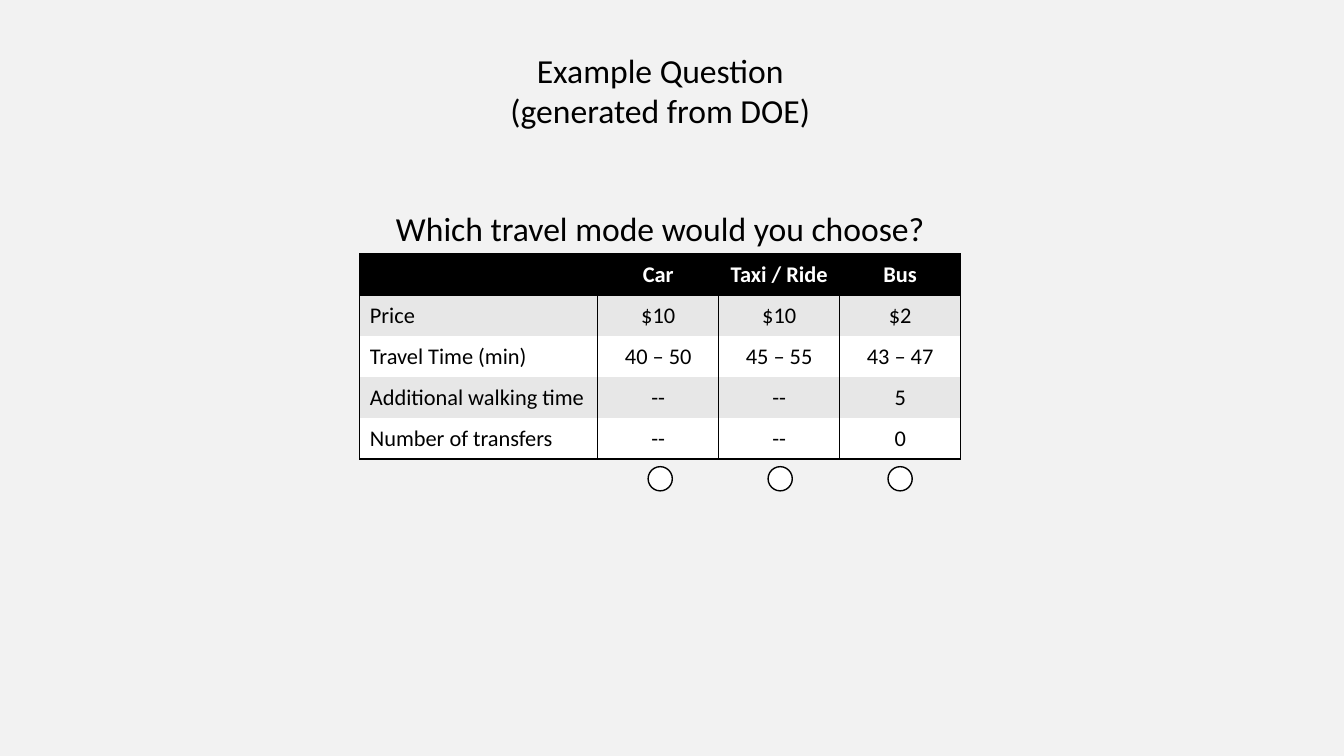
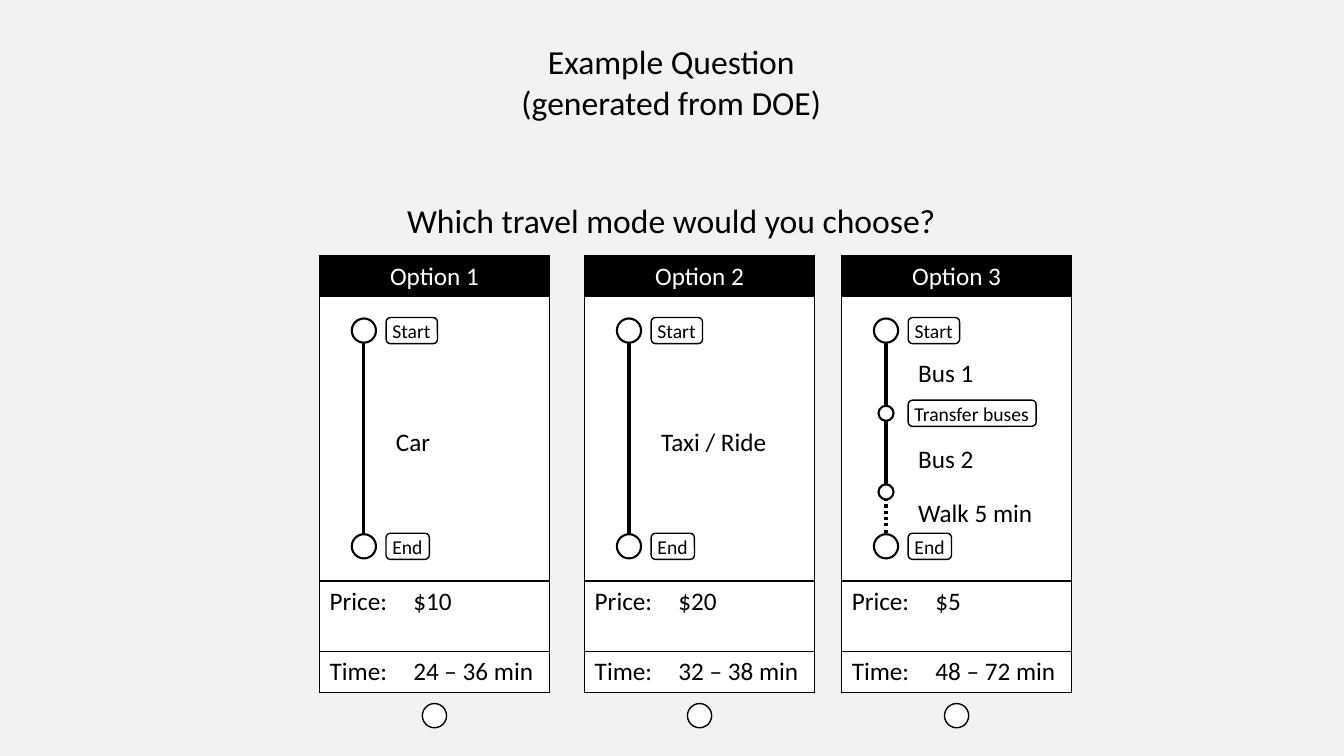
from dataclasses import dataclass

from lxml import etree
from pptx import Presentation
from pptx.dml.color import RGBColor
from pptx.enum.dml import MSO_LINE
from pptx.enum.shapes import MSO_CONNECTOR, MSO_SHAPE
from pptx.enum.text import MSO_ANCHOR, MSO_AUTO_SIZE, PP_ALIGN
from pptx.oxml.ns import qn
from pptx.util import Inches, Pt

LEFT, CENTER = PP_ALIGN.LEFT, PP_ALIGN.CENTER
TOP, MIDDLE = MSO_ANCHOR.TOP, MSO_ANCHOR.MIDDLE
OVAL, ROUNDED = MSO_SHAPE.OVAL, MSO_SHAPE.ROUNDED_RECTANGLE
STRAIGHT, DOTTED = MSO_CONNECTOR.STRAIGHT, MSO_LINE.ROUND_DOT
NO_AUTOFIT = MSO_AUTO_SIZE.NONE
TITLE_ONLY = 5
PLAIN_TABLE = "{2D5ABB26-0587-4C30-8999-92F81FD0307C}"


@dataclass(frozen=True)
class Theme:
    """Colours, font and type sizes of the deck."""
    font: str = "Calibri"
    page: str = "F2F2F2"
    ink: str = "000000"
    paper: str = "FFFFFF"
    band: str = "E7E7E7"
    heading: int = 24
    body: int = 18
    grid: int = 16
    tag: int = 14
    thin: float = 1
    ring: float = 1.5
    route: float = 2.25


def rgb(code):
    """Turn a hex code into a colour."""
    return RGBColor.from_string(code)


def u(n):
    """Length of n grid columns or rows; the grid has ten to the inch."""
    return Inches(n / 10)


class Deck:
    """Holds the theme, the presentation and the current slide."""

    def __init__(self, theme):
        """Set the slide size and the shared background."""
        self.t = theme
        self.prs = Presentation()
        self.prs.slide_width, self.prs.slide_height = u(133.33), u(75)
        fill = self.prs.slide_master.background.fill
        fill.solid()
        fill.fore_color.rgb = rgb(theme.page)

    def set_text(self, tf, lines, size, align=LEFT, color=None, bold=False):
        """Fill a text frame with equally styled paragraphs."""
        tf.text = "\n".join(lines)
        for p in tf.paragraphs:
            p.alignment = align
            p.font.name, p.font.size, p.font.bold = self.t.font, Pt(size), bold
            p.font.color.rgb = rgb(color or self.t.ink)

    def text(self, x, y, w, h, line, size, align=LEFT):
        """Add a one-line text box."""
        tf = self.s.shapes.add_textbox(u(x), u(y), u(w), u(h)).text_frame
        tf.word_wrap = False
        self.set_text(tf, [line], size, align)

    def question(self, center, top):
        """Start a slide with its title and the question below."""
        self.s = self.prs.slides.add_slide(self.prs.slide_layouts[TITLE_ONLY])
        title = self.s.shapes.title
        title.left, title.top = u(center - 16), u(top)
        title.width, title.height = u(32), u(9.1)
        tf = title.text_frame
        tf.auto_size, tf.vertical_anchor = NO_AUTOFIT, TOP
        self.set_text(tf, ["Example Question", "(generated from DOE)"],
                      self.t.heading, CENTER)
        self.text(center - 28.35, top + 15.7, 56.7, 5,
                  "Which travel mode would you choose?", self.t.heading, CENTER)

    def shape(self, kind, x, y, w, h, weight):
        """Add a white preset shape with a black outline."""
        sp = self.s.shapes.add_shape(kind, u(x), u(y), u(w), u(h))
        sp.shadow.inherit = False
        sp.fill.solid()
        sp.fill.fore_color.rgb = rgb(self.t.paper)
        sp.line.color.rgb, sp.line.width = rgb(self.t.ink), Pt(weight)
        return sp

    def circle(self, cx, cy, size, weight):
        """Add a circle around a centre."""
        self.shape(OVAL, cx - size / 2, cy - size / 2, size, size, weight)

    def tag(self, x, cy, w, label):
        """Add a rounded stop label, centred on a row."""
        tf = self.shape(ROUNDED, x, cy - 1.3, w, 2.6, self.t.thin).text_frame
        tf.margin_left = tf.margin_right = u(0.5)
        tf.margin_top = tf.margin_bottom = 0
        tf.word_wrap, tf.vertical_anchor = False, MIDDLE
        self.set_text(tf, [label], self.t.tag)

    def line(self, x, y1, y2, dash=None):
        """Add a vertical route line."""
        c = self.s.shapes.add_connector(STRAIGHT, u(x), u(y1), u(x), u(y2))
        c.line.color.rgb, c.line.width = rgb(self.t.ink), Pt(self.t.route)
        if dash:
            c.line.dash_style = dash
        etree.SubElement(c._element.spPr, qn("a:effectLst"))

    def table(self, x, y, cols, rows):
        """Add an unstyled table with given column widths and row heights."""
        frame = self.s.shapes.add_table(len(rows), len(cols), u(x), u(y),
                                        u(sum(cols)), u(sum(rows)))
        tbl = frame.table
        tbl._tbl.tblPr.find(qn("a:tableStyleId")).text = PLAIN_TABLE
        tbl.first_row = tbl.horz_banding = False
        for col, w in zip(tbl.columns, cols):
            col.width = u(w)
        for row, h in zip(tbl.rows, rows):
            row.height = u(h)
        return tbl

    def cell(self, cell, label, size, fill, borders, align=LEFT, anchor=MIDDLE,
             color=None, bold=False):
        """Fill in a cell; borders maps the sides L, R, T, B to widths."""
        tcPr = cell._tc.get_or_add_tcPr()
        for side in "LRTB":
            ln = etree.SubElement(tcPr, qn(f"a:ln{side}"))
            if side in borders:
                ln.set("w", str(Pt(borders[side])))
                solid = etree.SubElement(ln, qn("a:solidFill"))
                etree.SubElement(solid, qn("a:srgbClr")).set("val", self.t.ink)
            else:
                etree.SubElement(ln, qn("a:noFill"))
        cell.fill.solid()
        cell.fill.fore_color.rgb = rgb(fill)
        cell.vertical_anchor = anchor
        self.set_text(cell.text_frame, [label], size, align, color, bold)


def mode_table(d, x, y, rows):
    """Draw the banded comparison table with a choice circle per mode."""
    t = d.t
    tbl = d.table(x, y, [23.6, 12, 12, 12], [4.07] * len(rows))
    for i, row in enumerate(rows):
        head = i == 0
        borders = {"L": t.thin, "R": t.thin}
        if head:
            borders.update(T=t.thin, B=2 * t.thin)
        elif i == len(rows) - 1:
            borders["B"] = t.thin
        fill = t.ink if head else t.band if i % 2 else t.paper
        for j, label in enumerate(row):
            d.cell(tbl.cell(i, j), label, t.grid, fill, borders,
                   align=CENTER if j else LEFT,
                   color=t.paper if head else t.ink, bold=head)
    for j in range(3):
        d.circle(65.5 + 11.9 * j, 47.5, 2.4, t.thin)


@dataclass
class Option:
    """One travel option: facts, (row, width, text) legs and stops between."""
    x: float
    price: str
    time: str
    legs: list
    transfers: tuple = ()
    walk_from: float = 0


START, END = 32.8, 54.2


def option_card(d, number, o):
    """Draw an option card with its route and choice circle."""
    t = d.t
    tbl = d.table(o.x, 25.4, [8.3, 14.5], [4.05, 28.2, 7, 4.05])
    rows = [(f"Option {number}", ""), ("", ""),
            ("Price:", o.price), ("Time:", o.time)]
    for i, row in enumerate(rows):
        if i < 2:
            tbl.cell(i, 0).merge(tbl.cell(i, 1))
        for j, label in enumerate(row):
            sides = "LRTB" if i < 2 else "RTB" if j else "LTB"
            d.cell(tbl.cell(i, j), label, t.body, t.paper if i else t.ink,
                   dict.fromkeys(sides, t.thin),
                   align=LEFT if i else CENTER,
                   anchor=TOP if i == 2 else MIDDLE,
                   color=t.ink if i else t.paper)
    route_x, label_x = o.x + 4.4, o.x + 6.6
    d.line(route_x, START, o.walk_from or END)
    if o.walk_from:
        d.line(route_x, o.walk_from, END, DOTTED)
    for y, w, label in ((START, 5.1, "Start"), (END, 4.3, "End")):
        d.circle(route_x, y, 2.4, t.ring)
        d.tag(label_x, y, w, label)
    for y in o.transfers:
        d.circle(route_x, y, 1.5, t.ring)
        d.tag(label_x, y, 12.7, "Transfer buses")
    if o.walk_from:
        d.circle(route_x, o.walk_from, 1.5, t.ring)
    for y, w, label in o.legs:
        d.text(label_x, y, w, 4, label, t.body)
    d.circle(o.x + 11.4, 71, 2.4, t.thin)


MODES = [
    ("", "Car", "Taxi / Ride", "Bus"),
    ("Price", "$10", "$10", "$2"),
    ("Travel Time (min)", "40 – 50", "45 – 55", "43 – 47"),
    ("Additional walking time", "--", "--", "5"),
    ("Number of transfers", "--", "--", "0"),
]
OPTIONS = [
    Option(31.7, "$10", "24 – 36 min", [(41.8, 5.5, "Car")]),
    Option(58, "$20", "32 – 38 min", [(41.8, 13, "Taxi / Ride")]),
    Option(83.5, "$5", "48 – 72 min",
           [(35, 7.6, "Bus 1"), (43.5, 7.6, "Bus 2"), (48.8, 13.5, "Walk 5 min")],
           transfers=(41,), walk_from=48.8),
]


def main():
    """Build and save the two slides."""
    d = Deck(Theme())
    d.question(65.5, 4.4)
    mode_table(d, 35.7, 25.2, MODES)
    d.question(66.6, 3.6)
    for number, option in enumerate(OPTIONS, 1):
        option_card(d, number, option)
    d.prs.save("out.pptx")


main()
